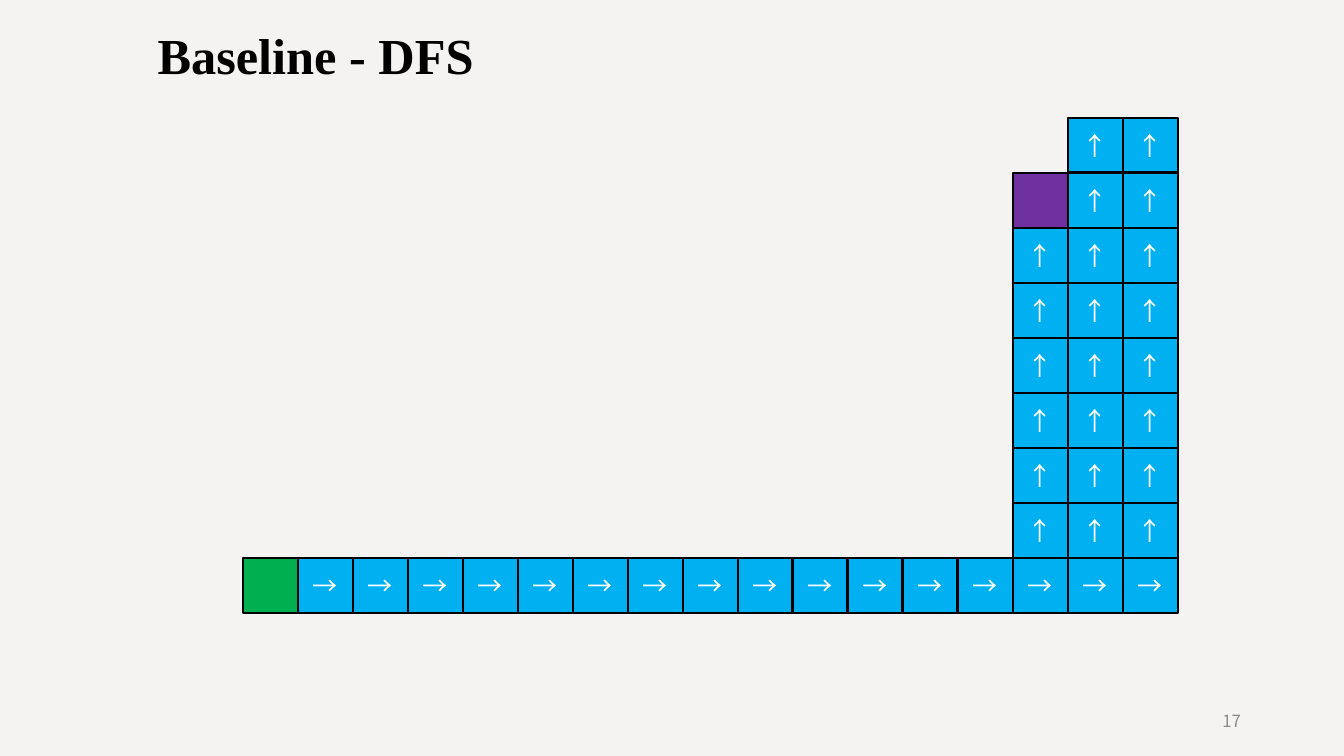
from lxml import etree
from pptx import Presentation
from pptx.dml.color import RGBColor
from pptx.enum.shapes import MSO_SHAPE
from pptx.enum.text import MSO_ANCHOR, MSO_AUTO_SIZE, PP_ALIGN
from pptx.oxml.ns import qn
from pptx.util import Emu, Pt

RECTANGLE = MSO_SHAPE.RECTANGLE
MIDDLE, TOP = MSO_ANCHOR.MIDDLE, MSO_ANCHOR.TOP
LEFT, CENTER, RIGHT = PP_ALIGN.LEFT, PP_ALIGN.CENTER, PP_ALIGN.RIGHT
GROW = MSO_AUTO_SIZE.SHAPE_TO_FIT_TEXT

BACKGROUND = RGBColor(0xF5, 0xF3, 0xF1)
BLACK = RGBColor(0x00, 0x00, 0x00)
WHITE = RGBColor(0xFF, 0xFF, 0xFF)
GRAY = RGBColor(0x8C, 0x8C, 0x8C)
START_GREEN = RGBColor(0x00, 0xB0, 0x50)
GOAL_PURPLE = RGBColor(0x70, 0x30, 0xA0)
VISITED_BLUE = RGBColor(0x00, 0xB0, 0xF0)

SERIF = "Times New Roman"
SANS = "Noto Sans CJK SC"
COLUMNS, ROWS, CELL = 17, 9, 55
CLIMBING_COLUMNS = (16, 15, 14)
START, GOAL = (0, 8), (14, 1)


def px(length):
    """Turn pixels into EMU at 100.8 pixels to the inch."""
    return Emu(round(length * 914400 / 100.8))


def write(frame, text, font_name, size, color, align, anchor, bold=False):
    """Put one formatted run into a text frame."""
    frame.word_wrap = True
    frame.vertical_anchor = anchor
    paragraph = frame.paragraphs[0]
    paragraph.alignment = align
    run = paragraph.add_run()
    run.text = text
    font = run.font
    font.name, font.size, font.bold = font_name, Pt(size), bold
    font.color.rgb = color
    east_asian = etree.SubElement(run._r.get_or_add_rPr(), qn("a:ea"))
    east_asian.set("typeface", font_name)


def add_title(slide, left, top, width, height):
    """Add the slide heading."""
    box = slide.shapes.add_textbox(px(left), px(top), px(width), px(height))
    write(box.text_frame, " Baseline - DFS", SERIF, 36, BLACK, LEFT, TOP, bold=True)
    box.text_frame.auto_size = GROW


def add_page_number(slide, left, top, width, height):
    """Add the page number at the right of its box."""
    box = slide.shapes.add_textbox(px(left), px(top), px(width), px(height))
    write(box.text_frame, "17", SANS, 12, GRAY, RIGHT, MIDDLE)


def add_cell(slide, left, top, fill, arrow=""):
    """Add one outlined square, with an arrow if one is given."""
    cell = slide.shapes.add_shape(RECTANGLE, px(left), px(top), px(CELL), px(CELL))
    cell.shadow.inherit = False
    cell.fill.solid()
    cell.fill.fore_color.rgb = fill
    cell.line.color.rgb = BLACK
    cell.line.width = Pt(2)
    if arrow:
        write(cell.text_frame, arrow, SANS, 18, WHITE, CENTER, MIDDLE)


def add_search_grid(slide, left, top):
    """Add the start, the goal and the cells visited by the search."""
    bottom_row = ROWS - 1
    cells = [(START, START_GREEN, ""), (GOAL, GOAL_PURPLE, "")]
    cells += [((column, bottom_row), VISITED_BLUE, "→") for column in range(1, COLUMNS)]
    for column in CLIMBING_COLUMNS:
        last_row = GOAL[1] + 1 if column == GOAL[0] else 0
        for row in range(bottom_row - 1, last_row - 1, -1):
            cells.append(((column, row), VISITED_BLUE, "↑"))
    for (column, row), fill, arrow in cells:
        add_cell(slide, left + column * CELL, top + row * CELL, fill, arrow)


def main():
    """Build and save the presentation."""
    presentation = Presentation()
    presentation.slide_width, presentation.slide_height = px(1344), px(756)
    slide = presentation.slides.add_slide(presentation.slide_layouts[6])
    slide.background.fill.solid()
    slide.background.fill.fore_color.rgb = BACKGROUND
    add_title(slide, 135, 19, 672, 72)
    add_page_number(slide, 949, 701, 302, 40)
    add_search_grid(slide, 243, 118)
    presentation.save("out.pptx")


if __name__ == "__main__":
    main()
